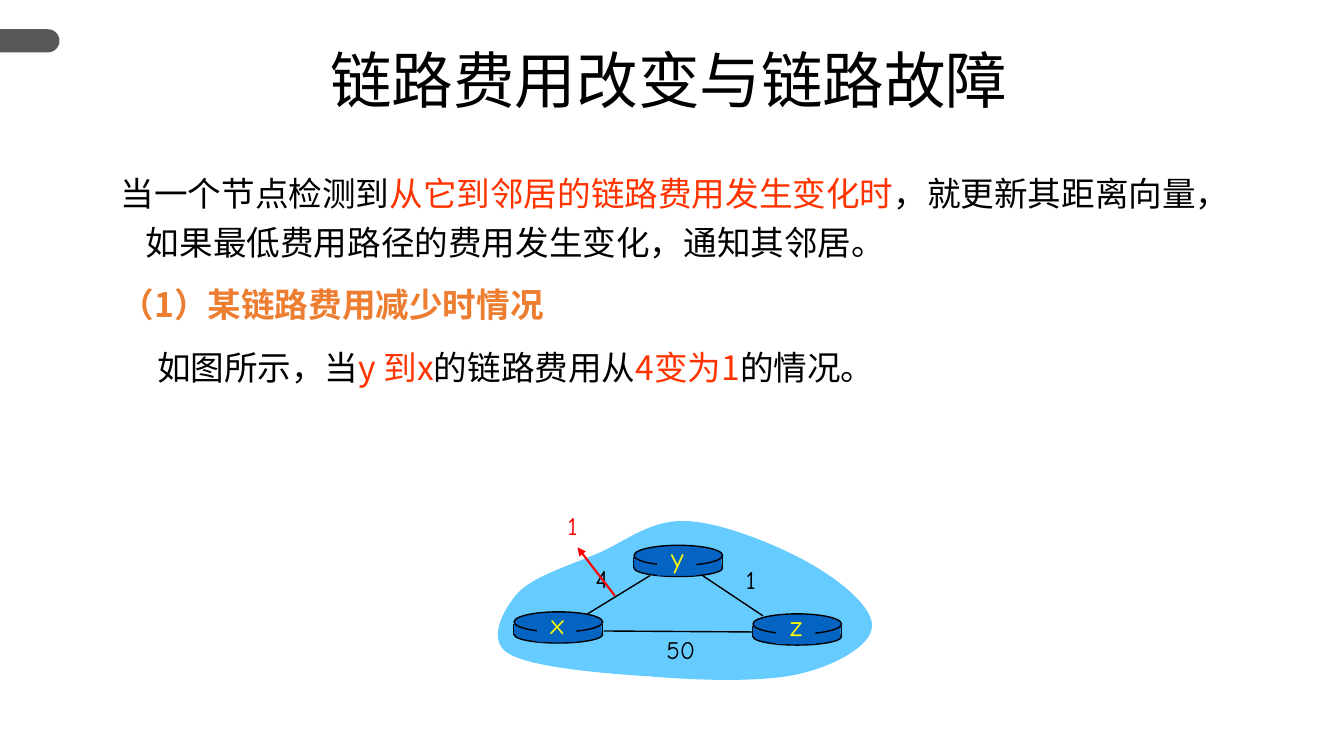
from lxml import etree
from pptx import Presentation
from pptx.dml.color import RGBColor
from pptx.enum import shapes, text
from pptx.oxml import ns
from pptx.util import Cm, Pt

# Content: all places are in inches
SANS, HAND = "Noto Sans CJK SC", "Comic Neue"
BLACK, RED, ORANGE, YELLOW = "000000", "FF3300", "ED7D31", "FFFF00"
BLUE, SKY, GREY, ARROW = "0563C1", "66CCFF", "575757", "FF0000"
TITLE = "链路费用改变与链路故障"
# Paragraphs: left margin, first-line indent, bold, spans of (words, colour)
BODY = [
    (0.25, -0.25, False, [("当一个节点检测到", BLACK), ("从它到邻居的链路费用发生变化时", RED),
                          ("，就更新其距离向量，如果最低费用路径的费用发生变化，通知其邻居。", BLACK)]),
    (0.25, -0.25, True, [("（1）某链路费用减少时情况", ORANGE)]),
    (0.36, 0, False, [("如图所示，当", BLACK), ("y 到x", RED), ("的链路费用从", BLACK),
                      ("4变为1", RED), ("的情况。", BLACK)]),
]
CLOUD_START = (5.14, 5.88)
# Each curve: two control points and its end
CLOUD_CURVES = [
    ((5.29, 5.72), (5.65, 5.61), (5.93, 5.49)),
    ((6.21, 5.37), (6.46, 5.15), (6.81, 5.17)),
    ((7.17, 5.18), (7.77, 5.43), (8.07, 5.61)),
    ((8.38, 5.79), (8.68, 6.05), (8.65, 6.23)),
    ((8.63, 6.41), (8.28, 6.61), (7.91, 6.69)),
    ((7.55, 6.77), (6.92, 6.75), (6.44, 6.71)),
    ((5.97, 6.68), (5.26, 6.62), (5.04, 6.48)),
    ((4.83, 6.35), (4.99, 6.05), (5.14, 5.88)),
]
ROUTERS = [("x", 5.1, 6.07), ("z", 7.47, 6.09), ("y", 6.29, 5.41)]
LINKS = [(5.83, 6.09, 6.45, 5.71), (6.97, 5.71, 7.57, 6.11), (5.99, 6.26, 7.5, 6.27)]
COSTS = [("1", 7.29, 5.55, 0.32, BLACK), ("4", 5.79, 5.54, 0.36, BLACK),
         ("50", 6.5, 6.24, 0.51, BLACK), ("1", 5.52, 5.01, 0.32, ARROW)]

deck = Presentation()
deck.slide_width, deck.slide_height = Cm(33.87), Cm(19.05)
page = deck.slides.add_slide(deck.slide_layouts[6])


def inch(value):
    return Cm(value * 2.54)


def colour(code):
    return RGBColor.from_string(code)


def paint(shape, fill, line=None):
    shape.shadow.inherit = False
    shape.fill.solid()
    shape.fill.fore_color.rgb = colour(fill)
    if line:
        shape.line.color.rgb = colour(line)
        shape.line.width = Pt(1)
    else:
        shape.line.fill.background()


def add_block(kind, left, top, width, height, fill, line=None):
    block = page.shapes.add_shape(kind, *map(inch, (left, top, width, height)))
    paint(block, fill, line)
    return block


def add_line(x1, y1, x2, y2, code=BLACK, width=1):
    line = page.shapes.add_connector(shapes.MSO_CONNECTOR.STRAIGHT, *map(inch, (x1, y1, x2, y2)))
    line.line.color.rgb = colour(code)
    line.line.width = Pt(width)
    etree.SubElement(line._element.spPr, ns.qn("a:effectLst"))
    return line


def add_box(left, top, width, height, wrap=True):
    box = page.shapes.add_textbox(*map(inch, (left, top, width, height)))
    box.text_frame.word_wrap = wrap
    return box.text_frame


def style(span, size, font, code, bold=False):
    span.font.size, span.font.name, span.font.bold = Pt(size), font, bold
    span.font.color.rgb = colour(code)
    etree.SubElement(span._r.get_or_add_rPr(), ns.qn("a:ea"), typeface=SANS)


def add_label(words, left, top, width, height, size, font, code, wrap=False):
    frame = add_box(left, top, width, height, wrap)
    frame.text = words
    para = frame.paragraphs[0]
    para.alignment = text.PP_ALIGN.CENTER
    style(para.runs[0], size, font, code)
    return frame


# Corner tab, lying on its side
tab = add_block(shapes.MSO_SHAPE.ROUND_2_SAME_RECTANGLE, 0.18, 0.11, 0.23, 0.59, GREY)
tab.adjustments[0] = 0.5
tab.rotation = 90

# Title and body text
title = add_label(TITLE, 0.16, 0.45, 12.96, 1.25, 44, "Arial", BLACK, True)
title.paragraphs[0].line_spacing = 0.9

body = add_box(1.1, 1.59, 11.33, 2.97)
for number, (margin, indent, bold, spans) in enumerate(BODY):
    para = body.add_paragraph() if number else body.paragraphs[0]
    para.line_spacing = 1.2
    para.space_before = Pt(10 if number else 0)
    layout = para._p.get_or_add_pPr()
    layout.set("marL", str(inch(margin)))
    layout.set("indent", str(inch(indent)))
    for words, code in spans:
        span = para.add_run()
        span.text = words
        style(span, 24, SANS, code, bold)

# Network cloud: every three points become one curve
builder = page.shapes.build_freeform(*map(inch, CLOUD_START))
builder.add_line_segments([tuple(map(inch, point)) for curve in CLOUD_CURVES for point in curve])
cloud = builder.convert_to_shape()
paint(cloud, SKY)
corners = list(cloud._element.iter(ns.qn("a:lnTo")))
outline = corners[0].getparent()
for first in range(0, len(corners), 3):
    curve = etree.SubElement(outline, ns.qn("a:cubicBezTo"))
    for corner in corners[first:first + 3]:
        curve.append(corner[0])
        outline.remove(corner)
etree.SubElement(outline, ns.qn("a:close"))

# Links, then the routers over them
for link in LINKS:
    add_line(*link)

OVAL, RECT = shapes.MSO_SHAPE.OVAL, shapes.MSO_SHAPE.RECTANGLE
for name, left, top in ROUTERS:
    add_block(OVAL, left, top + 0.14, 0.88, 0.17, BLUE, BLACK)
    for side in (left, left + 0.88):
        add_line(side, top + 0.12, side, top + 0.23)
    add_block(RECT, left, top + 0.12, 0.87, 0.1, BLUE)
    add_block(OVAL, left, top, 0.88, 0.2, BLUE, BLACK)
    add_block(RECT, left + 0.23, top + 0.02, 0.39, 0.28, BLUE)
    add_label(name, left + 0.25, top - 0.1, 0.36, 0.44, 20, HAND, YELLOW)

# Link costs and the arrow to the new cost
for cost, left, top, width, code in COSTS:
    add_label(cost, left, top, width, 0.4, 18, HAND, code)
arrow = add_line(6.1, 5.91, 5.73, 5.43, ARROW, 1.5)
etree.SubElement(arrow.line._get_or_add_ln(), ns.qn("a:tailEnd"), type="triangle")

deck.save("out.pptx")
